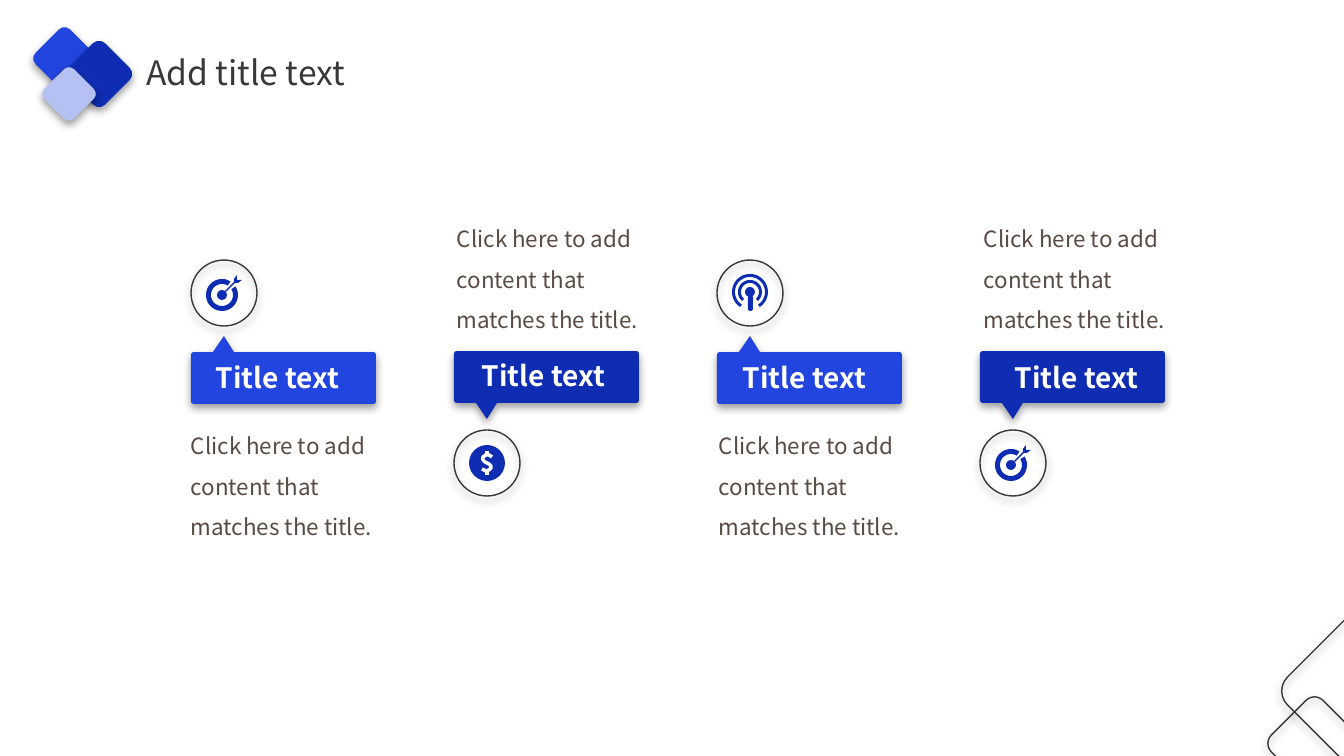
from dataclasses import dataclass
from math import cos, radians, sin
from typing import Callable

from lxml import etree
from pptx import Presentation
from pptx import util as u
from pptx.dml.color import RGBColor
from pptx.enum import shapes, text
from pptx.oxml import ns

SCALE = 914400 / 100.8
FINE = 20
Point = tuple[float, float]


@dataclass(frozen=True)
class Theme:
    font: str = "Noto Sans CJK SC"
    blue: str = "2345DF"
    navy: str = "0E2DB2"
    pale: str = "B5C1F2"
    ink: str = "393737"
    brown: str = "594A42"
    white: str = "FFFFFF"
    black: str = "000000"
    head: int = 24
    label: int = 20
    note: int = 16


@dataclass(frozen=True)
class Tile:
    left: int
    top: int
    size: int
    fill: str | None = None


@dataclass(frozen=True)
class Step:
    icon: Callable
    above: bool
    label: Point
    note: Point


LOOK = Theme()


def px(num: float) -> u.Emu:
    return u.Emu(round(num * SCALE))


def paint(shape, fill: str | None = None, line: str | None = None,
          width: float = 1, shade: bool = False) -> None:
    if fill:
        shape.fill.solid()
        shape.fill.fore_color.rgb = RGBColor.from_string(fill)
    else:
        shape.fill.background()
    if line:
        shape.line.color.rgb = RGBColor.from_string(line)
        shape.line.width = u.Pt(width)
    else:
        shape.line.fill.background()
    shape.shadow.inherit = False
    if shade:
        effects = shape._element.spPr.find(ns.qn("a:effectLst"))
        outer = etree.SubElement(
            effects, ns.qn("a:outerShdw"), blurRad=str(u.Pt(6)),
            dist=str(u.Pt(3)), dir="5400000", algn="t", rotWithShape="0")
        color = etree.SubElement(outer, ns.qn("a:srgbClr"), val=LOOK.black)
        etree.SubElement(color, ns.qn("a:alpha"), val="39000")


def write(shape, words: str, *, size: int, color: str, bold: bool = False,
          wrap: bool = False, space: float = 1.0) -> None:
    frame = shape.text_frame
    frame.word_wrap = wrap
    frame.auto_size = text.MSO_AUTO_SIZE.SHAPE_TO_FIT_TEXT
    para = frame.paragraphs[0]
    para.alignment = text.PP_ALIGN.LEFT
    para.line_spacing = space
    run = para.add_run()
    run.text = words
    run.font.name = LOOK.font
    run.font.size = u.Pt(size)
    run.font.bold = bold
    run.font.color.rgb = RGBColor.from_string(color)
    etree.SubElement(run.font._element, ns.qn("a:ea"), typeface=LOOK.font)


def preset(slide, kind, left: int, top: int, wide: int, high: int, **style):
    shape = slide.shapes.add_shape(kind, px(left), px(top), px(wide), px(high))
    paint(shape, **style)
    return shape


def disc(slide, x: int, y: int, rad: int, **style) -> None:
    preset(slide, shapes.MSO_SHAPE.OVAL, x - rad, y - rad, 2 * rad, 2 * rad, **style)


def trace(slide, *paths: list[Point], close: bool = True, **style) -> None:
    fine = [[(x * FINE, y * FINE) for x, y in path] for path in paths]
    pen = slide.shapes.build_freeform(*fine[0][0], scale=SCALE / FINE)
    for path in fine:
        if path is not fine[0]:
            pen.move_to(*path[0])
        pen.add_line_segments(path[1:], close=close)
    paint(pen.convert_to_shape(), **style)


def arc(x: float, y: float, rad: float, start: int, end: int, parts: int = 40) -> list[Point]:
    turns = [radians(start + (end - start) * i / parts) for i in range(parts + 1)]
    return [(x + rad * cos(turn), y + rad * sin(turn)) for turn in turns]


def band(slide, x: int, y: int, outer: int, inner: int, start: int, end: int) -> None:
    trace(slide, arc(x, y, outer, start, end) + arc(x, y, inner, end, start), fill=LOOK.navy)


def target(slide, x: int, y: int) -> None:
    band(slide, x - 2, y + 2, 16, 11, -32, 302)
    disc(slide, x - 2, y + 2, 5, fill=LOOK.navy)
    dart = [(13, -13), (13, -18), (10, -14), (10, -11), (1, -2),
            (2, -1), (11, -10), (14, -10), (18, -13)]
    trace(slide, [(x + dx, y + dy) for dx, dy in dart], fill=LOOK.navy)


def signal(slide, x: int, y: int) -> None:
    band(slide, x, y - 1, 18, 15, 123, 417)
    band(slide, x, y - 1, 12, 9, 131, 409)
    disc(slide, x, y - 1, 5, fill=LOOK.navy)
    stem = preset(slide, shapes.MSO_SHAPE.ROUNDED_RECTANGLE,
                  x - 2, y + 2, 5, 16, fill=LOOK.navy)
    stem.adjustments[0] = 0.5


def dollar(slide, x: int, y: int) -> None:
    disc(slide, x, y, 18, fill=LOOK.navy)
    curve = [(5, -6), (2, -8), (-1, -8), (-4, -6), (-4, -3), (-2, -1),
             (2, 1), (4, 3), (4, 5), (2, 7), (-1, 8), (-5, 6)]
    strokes = [curve, [(0, -12), (0, -8)], [(0, 8), (0, 12)]]
    trace(slide, *[[(x + dx, y + dy) for dx, dy in path] for path in strokes],
          close=False, line=LOOK.white, width=2.5)


def banner(slide, left: int, above: bool) -> None:
    mid, way = (378, 1) if above else (377, -1)
    wide, half, rad = 185, 26, 3
    edge = [(22, -half), (33, -half - 16), (43, -half)]
    for x, y, start in [(wide - rad, rad - half, -90), (wide - rad, half - rad, 0),
                        (rad, half - rad, 90), (rad, rad - half, 180)]:
        edge += arc(x, y, rad, start, start + 90, 6)
    trace(slide, [(left + x, mid + way * y) for x, y in edge],
          fill=LOOK.blue if above else LOOK.navy, shade=True)


def box(slide, spot: Point, wide: int, high: int, words: str, **style) -> None:
    left, top = spot
    shape = slide.shapes.add_textbox(px(left), px(top), px(wide), px(high))
    write(shape, words, **style)


def main() -> None:
    deck = Presentation()
    deck.slide_width, deck.slide_height = px(1344), px(756)
    slide = deck.slides.add_slide(deck.slide_layouts[5])

    tiles = [Tile(40, 34, 49, LOOK.blue), Tile(73, 48, 52, LOOK.navy),
             Tile(48, 73, 42, LOOK.pale), Tile(1278, 707, 73), Tile(1298, 632, 118)]
    for tile in tiles:
        shape = preset(slide, shapes.MSO_SHAPE.ROUNDED_RECTANGLE,
                       tile.left, tile.top, tile.size, tile.size, fill=tile.fill,
                       line=None if tile.fill else LOOK.ink, shade=True)
        shape.rotation = 45

    title = slide.shapes.title
    title.left, title.top, title.width, title.height = px(136), px(47), px(232), px(50)
    write(title, "Add title text", size=LOOK.head, color=LOOK.ink)

    steps = [Step(target, True, (206, 356), (181, 414)),
             Step(dollar, False, (472, 354), (447, 207)),
             Step(signal, True, (733, 356), (709, 414)),
             Step(target, False, (1005, 356), (974, 207))]
    for i, step in enumerate(steps):
        left = 191 + 263 * i
        x, y = left + 33, 293 if step.above else 463
        banner(slide, left, step.above)
        disc(slide, x, y, 33, line=LOOK.ink, shade=True)
        step.icon(slide, x, y)
        box(slide, step.label, 147, 44, "Title text",
            size=LOOK.label, color=LOOK.white, bold=True)
        box(slide, step.note, 211, 128, "Click here to add content that matches the title.",
            size=LOOK.note, color=LOOK.brown, wrap=True, space=1.5)

    deck.save("out.pptx")


if __name__ == "__main__":
    main()
